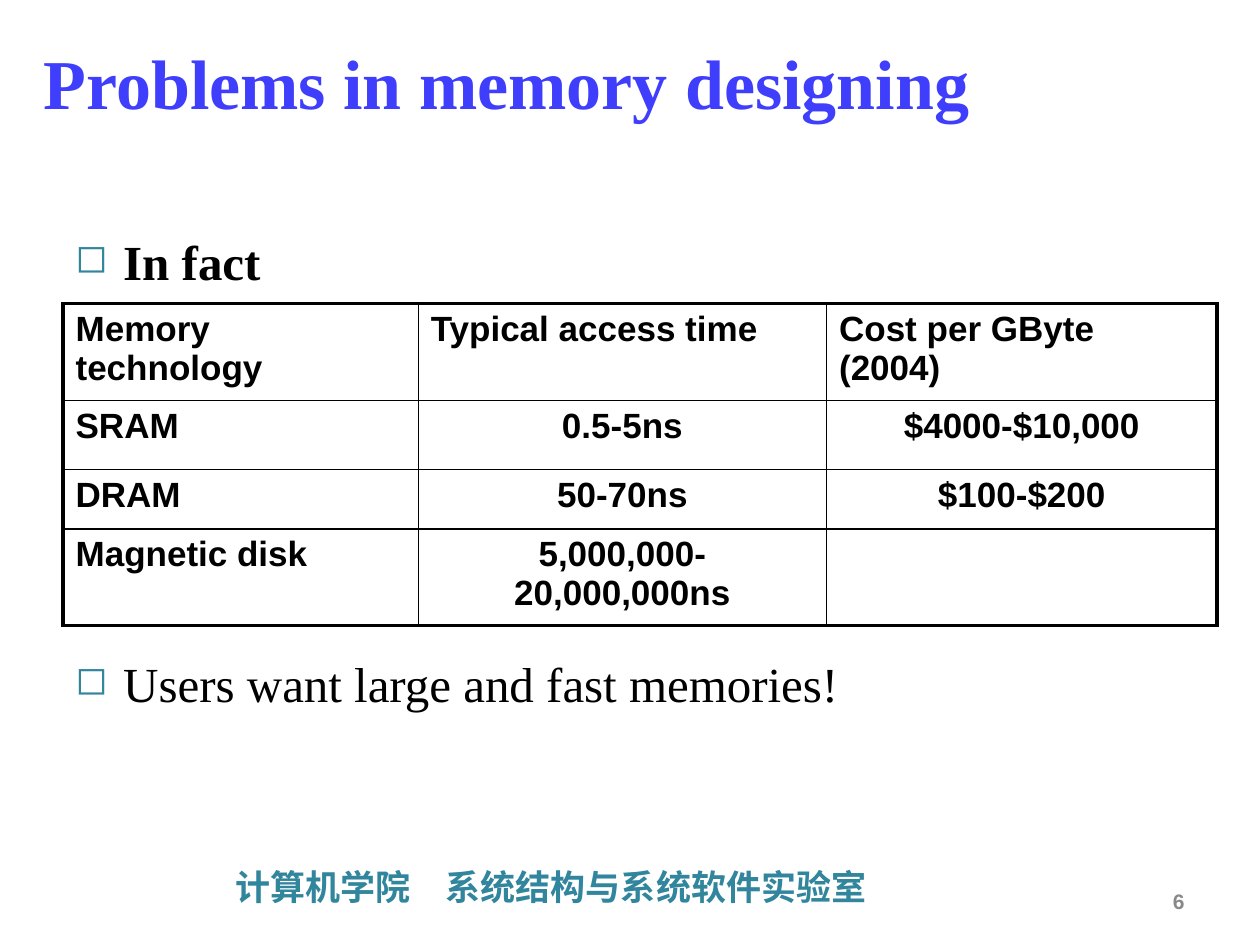
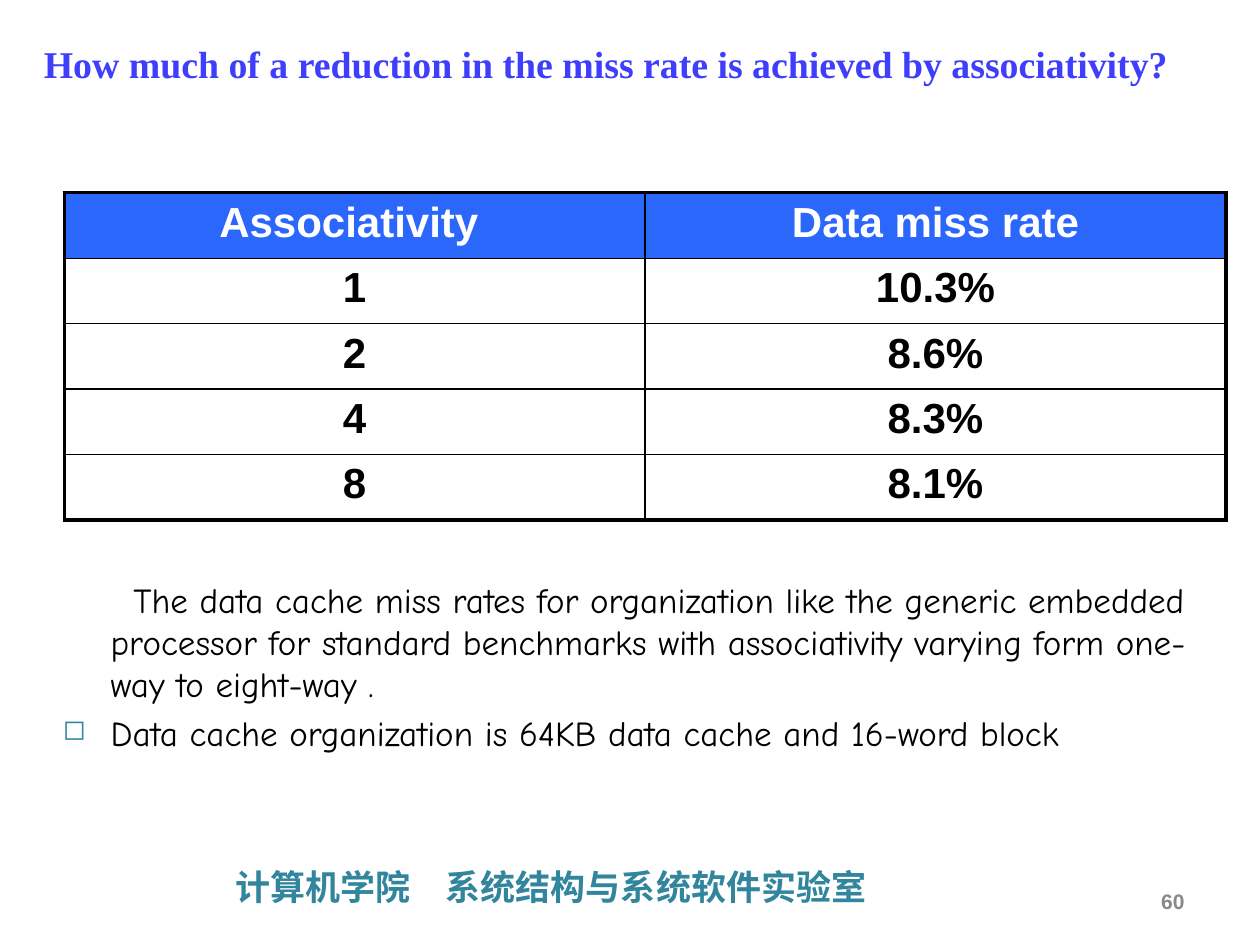
"""Build two lecture slides on memory technologies and cache associativity."""
from dataclasses import dataclass

from lxml.etree import SubElement
from pptx import Presentation
from pptx.dml.color import RGBColor as RGB
from pptx.enum.text import MSO_ANCHOR as ANCHOR, PP_ALIGN as ALIGN
from pptx.oxml import parse_xml
from pptx.oxml.ns import nsdecls, qn
from pptx.util import Inches, Pt


@dataclass(frozen=True)
class Theme:
    title: str = "3E3EFC"
    accent: str = "31859C"
    header: str = "2C67FC"
    ink: str = "000000"
    paper: str = "FFFFFF"
    muted: str = "898989"
    serif: str = "Times New Roman"
    sans: str = "Arial"
    casual: str = "Comic Neue"
    chinese: str = "Noto Sans CJK SC"
    title_size: float = 40
    long_title_size: float = 21.6
    point_size: float = 28
    large_cell_size: float = 24
    text_size: float = 20
    number_size: float = 12
    outer_line: float = 2.25
    inner_line: float = 1
    hanging: float = 0.38


theme = Theme()


def add_box(slide, box, anchor=ANCHOR.TOP):
    frame = slide.shapes.add_textbox(*map(Inches, box)).text_frame
    frame.word_wrap = True
    frame.vertical_anchor = anchor
    return frame


def write(paragraph, text, font, size, color=theme.ink, bold=False,
          align=ALIGN.LEFT, left=0, first=0, before=0, bullet=False):
    paragraph.alignment = align
    paragraph.space_before = Pt(before)
    properties = paragraph._p.get_or_add_pPr()
    properties.set("marL", str(Inches(left)))
    properties.set("indent", str(Inches(first)))
    if bullet:
        bullet_color = SubElement(properties, qn("a:buClr"))
        SubElement(bullet_color, qn("a:srgbClr"), val=theme.accent)
        SubElement(properties, qn("a:buSzPct"), val="80000")
        SubElement(properties, qn("a:buChar"), char="◻")
    run = paragraph.add_run()
    run.text = text
    run.font.name, run.font.size, run.font.bold = font, Pt(size), bold
    run.font.color.rgb = RGB.from_string(color)
    SubElement(run._r.get_or_add_rPr(), qn("a:ea"), typeface=font)


presentation = Presentation()
presentation.slide_width, presentation.slide_height = Inches(10), Inches(7.5)

bullet_format = dict(left=theme.hanging, first=-theme.hanging, bullet=True)
point_format = dict(font=theme.serif, size=theme.point_size, **bullet_format)
note_format = dict(font=theme.casual, size=theme.text_size)

slide_contents = [
    dict(
        title="Problems in memory designing",
        title_box=(0.25, 0.13, 8.61, 1.04),
        title_size=theme.title_size,
        number="6",
        table_box=(0.5, 2.41, 9.16, 2.19),
        columns=(2.82, 3.24, 3.1),
        row_heights=(0.63, 0.55, 0.47, 0.54),
        cell_size=theme.text_size,
        colored_header=False,
        rows=[
            ("Memory technology", "Typical access time", "Cost per GByte (2004)"),
            ("SRAM", "0.5-5ns", "$4000-$10,000"),
            ("DRAM", "50-70ns", "$100-$200"),
            ("Magnetic disk", "5,000,000-20,000,000ns", ""),
        ],
        bodies=[
            ((0.5, 1.79, 9, 0.55), [("In fact", dict(point_format, bold=True))]),
            ((0.5, 5.14, 9, 0.55),
             [("Users want large and fast memories!", point_format)]),
        ],
    ),
    dict(
        title="How much of a reduction in the miss rate is achieved by associativity?",
        title_box=(0.25, 0.17, 9.4, 0.67),
        title_size=theme.long_title_size,
        number="60",
        table_box=(0.51, 1.53, 9.22, 2.6),
        columns=(4.61, 4.61),
        row_heights=(0.52,) * 5,
        cell_size=theme.large_cell_size,
        colored_header=True,
        rows=[
            ("Associativity ", "Data miss rate"),
            ("1", "10.3%"),
            ("2", "8.6%"),
            ("4", "8.3%"),
            ("8", "8.1%"),
        ],
        bodies=[
            ((0.4, 4.54, 9.4, 2.05), [
                ("The data cache miss rates for organization like the generic "
                 "embedded processor for standard benchmarks with associativity "
                 "varying form one-way to eight-way .",
                 dict(note_format, left=theme.hanging, first=0.18)),
                ("Data cache organization is 64KB data cache and 16-word block",
                 dict(note_format, before=4, **bullet_format)),
            ]),
        ],
    ),
]

for content in slide_contents:
    slide = presentation.slides.add_slide(presentation.slide_layouts[6])

    footer = add_box(slide, (1.77, 6.82, 7.24, 0.44))
    write(footer.paragraphs[0], "计算机学院　系统结构与系统软件实验室",
          theme.chinese, theme.text_size, theme.accent, bold=True)
    title = add_box(slide, content["title_box"], ANCHOR.MIDDLE)
    write(title.paragraphs[0], content["title"], theme.serif,
          content["title_size"], theme.title, bold=True)
    number = add_box(slide, (7.17, 6.95, 2.33, 0.4), ANCHOR.MIDDLE)
    write(number.paragraphs[0], content["number"], theme.sans,
          theme.number_size, theme.muted, bold=True, align=ALIGN.RIGHT)

    for box, lines in content["bodies"]:
        body = add_box(slide, box)
        for index, (text, text_format) in enumerate(lines):
            paragraph = body.add_paragraph() if index else body.paragraphs[0]
            write(paragraph, text, **text_format)

    rows, columns = content["rows"], content["columns"]
    last_row, last_column = len(rows) - 1, len(columns) - 1
    table = slide.shapes.add_table(
        len(rows), len(columns), *map(Inches, content["table_box"])).table
    table.first_row = table.horz_banding = False
    for column, width in zip(table.columns, columns):
        column.width = Inches(width)
    for row, height in zip(table.rows, content["row_heights"]):
        row.height = Inches(height)

    for row_index, values in enumerate(rows):
        for column_index, value in enumerate(values):
            cell = table.cell(row_index, column_index)
            header = content["colored_header"] and row_index == 0
            if header:
                cell.fill.solid()
                cell.fill.fore_color.rgb = RGB.from_string(theme.header)
            else:
                cell.fill.background()
            if value:
                centered = content["colored_header"] or row_index * column_index
                write(cell.text_frame.paragraphs[0], value, theme.sans,
                      content["cell_size"], theme.paper if header else theme.ink,
                      bold=True, align=ALIGN.CENTER if centered else ALIGN.LEFT)
            outer_edges = {
                "lnL": column_index == 0,
                "lnR": column_index == last_column,
                "lnT": row_index == 0,
                "lnB": row_index == last_row,
            }
            cell_properties = cell._tc.get_or_add_tcPr()
            for position, (edge, outer) in enumerate(outer_edges.items()):
                width = Pt(theme.outer_line if outer else theme.inner_line)
                cell_properties.insert(position, parse_xml(
                    f'<a:{edge} {nsdecls("a")} w="{width}"><a:solidFill>'
                    f'<a:srgbClr val="{theme.ink}"/></a:solidFill></a:{edge}>'))

presentation.save("out.pptx")
